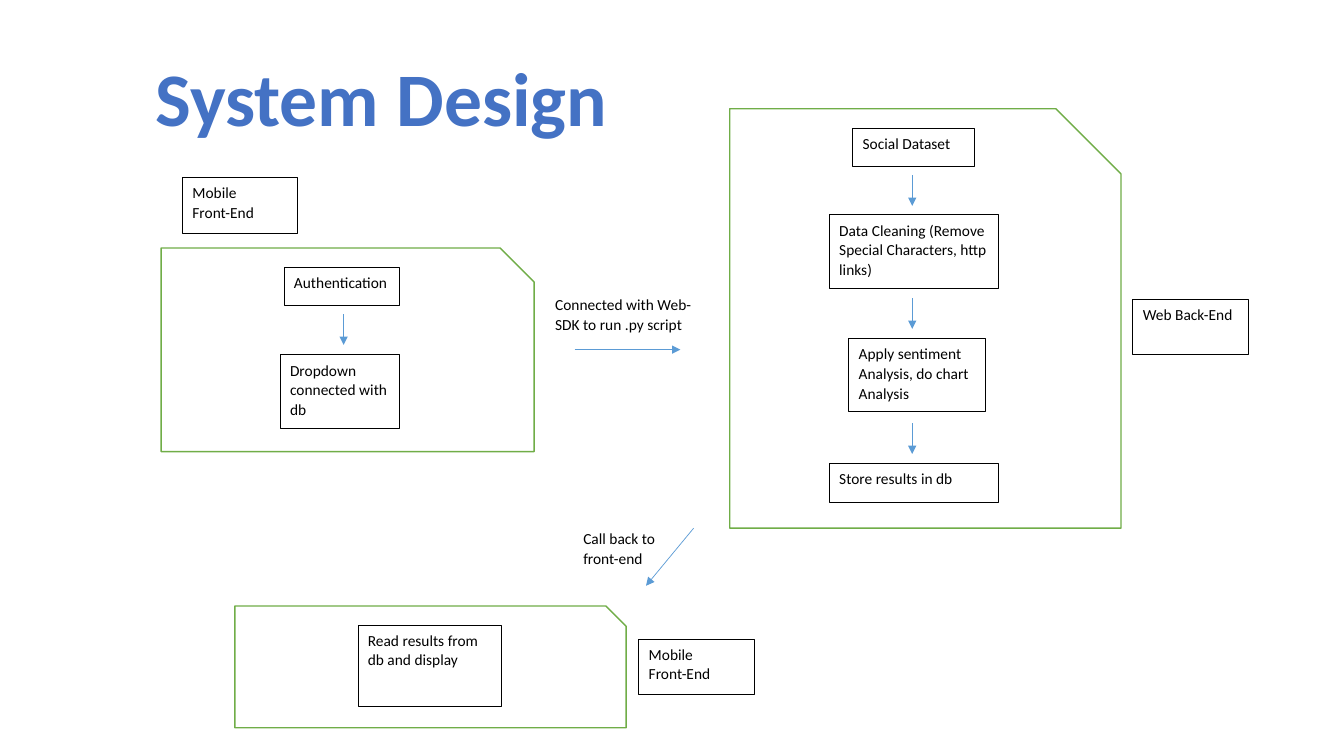
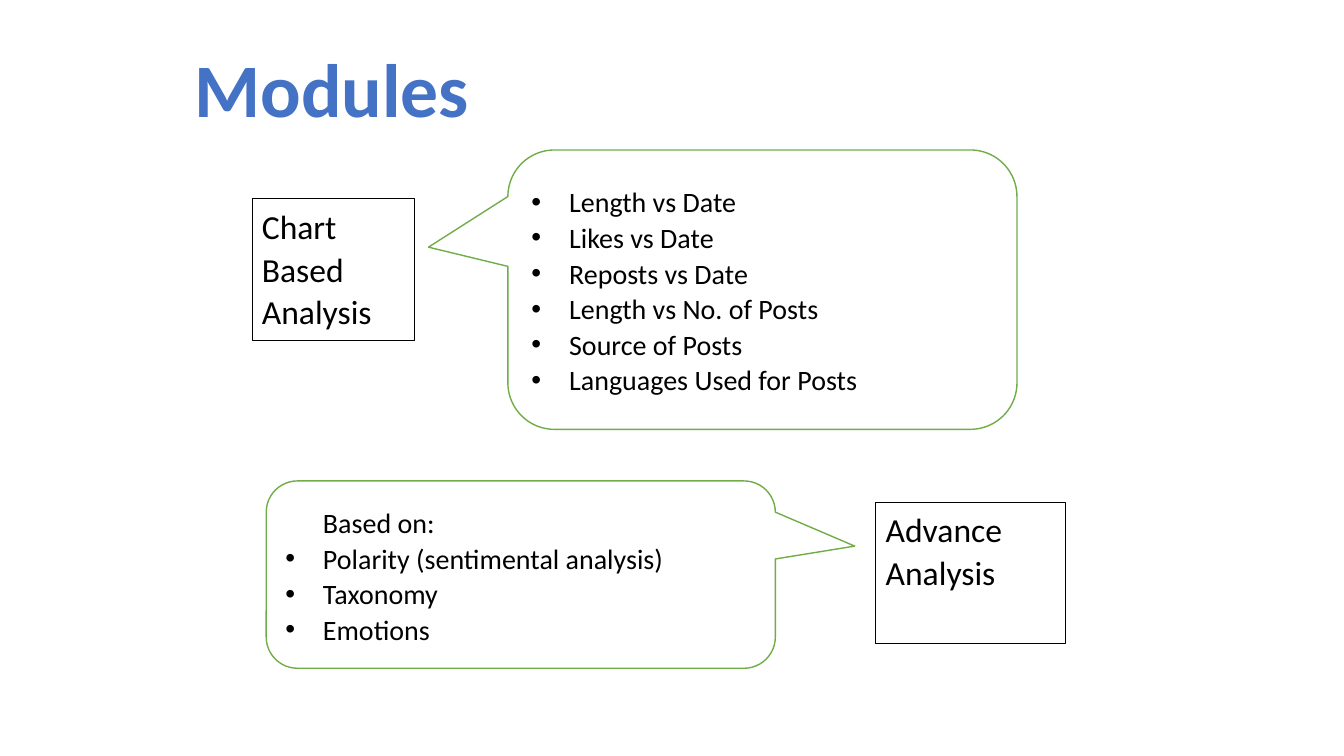
from pptx import Presentation
from pptx.dml.color import RGBColor
from pptx.enum import shapes, text as t
from pptx.oxml import ns, xmlchemy as x
from pptx.util import Cm, Pt

BLACK, WHITE, GREEN = "000000", "FFFFFF", "70AD47"
ARROW_BLUE, TITLE_BLUE = "5B9BD5", "4472C4"
FONT = "Calibri"
INDENT = Cm(0.95)
colour = RGBColor.from_string


def write(box, lines, size=11, color=BLACK, bold=False, align=t.PP_ALIGN.LEFT,
          anchor=t.MSO_ANCHOR.TOP, wrap=True, spacing=1.06, after=0, plain=None):
    """Fill a box; a list gives bullets, except for the line named plain."""
    frame = box.text_frame
    frame.word_wrap = wrap
    frame.vertical_anchor = anchor
    bulleted = isinstance(lines, list)
    for number, line in enumerate(lines if bulleted else [lines]):
        para = frame.add_paragraph() if number else frame.paragraphs[0]
        para.text = line
        para.alignment = align
        para.line_spacing = spacing
        para.space_after = Pt(after)
        if bulleted:
            props = para._p.get_or_add_pPr()
            props.set("marL", str(INDENT))
            if line != plain:
                props.set("indent", str(-INDENT))
                font = x.OxmlElement("a:buFont")
                font.set("typeface", "Arial")
                bullet = x.OxmlElement("a:buChar")
                bullet.set("char", "•")
                props.extend([font, bullet])
        for span in para.runs:
            span.font.name = FONT
            span.font.size = Pt(size)
            span.font.bold = bold
            span.font.color.rgb = colour(color)


def draw(page, kind, place, line=BLACK, width=0.5):
    """Add a white outlined shape at left, top, width, height in cm."""
    shape = page.shapes.add_shape(kind, *map(Cm, place))
    shape.shadow.inherit = False
    shape.fill.solid()
    shape.fill.fore_color.rgb = colour(WHITE)
    shape.line.color.rgb = colour(line)
    shape.line.width = Pt(width)
    return shape


deck = Presentation()
deck.slide_width, deck.slide_height = Cm(33.87), Cm(19.05)
RECT = shapes.MSO_SHAPE.RECTANGLE

# Pages and their titles
pages = []
for title, place in [
    ("System Design", (3.61, 1.17, 12.01, 2.57)),
    ("Modules", (4.62, 0.94, 7.49, 2.57)),
]:
    page = deck.slides.add_slide(deck.slide_layouts[6])
    box = page.shapes.add_textbox(*map(Cm, place))
    write(box, title, size=54, color=TITLE_BLUE, bold=True,
          align=t.PP_ALIGN.CENTER, wrap=False, spacing=1.0)
    pages.append(page)
design, modules = pages

# System design: frames around each stage
for place in [
    (4.06, 6.25, 9.4, 5.13),
    (18.39, 2.74, 9.86, 10.57),
    (5.92, 15.27, 9.86, 3.07),
]:
    draw(design, shapes.MSO_SHAPE.SNIP_1_RECTANGLE, place, GREEN, 1)

# System design: steps, stage names and arrow captions
for label, place, line in [
    ("Mobile \vFront-End", (4.6, 4.47, 2.9, 1.4), BLACK),
    ("Authentication", (7.16, 6.73, 2.9, 0.97), BLACK),
    ("Dropdown connected with db", (7.06, 8.94, 3, 1.85), BLACK),
    ("Connected with Web-SDK to run .py script", (13.74, 7.29, 4.29, 1.4), WHITE),
    ("Web Back-End", (28.55, 7.54, 2.9, 1.4), BLACK),
    ("Social Dataset", (21.49, 3.23, 3.07, 0.97), BLACK),
    ("Data Cleaning (Remove Special Characters, http links)",
     (20.9, 5.41, 4.27, 1.85), BLACK),
    ("Apply sentiment Analysis, do chart Analysis", (21.39, 8.53, 3.45, 1.85), BLACK),
    ("Store results in db", (20.9, 11.68, 4.27, 0.99), BLACK),
    ("Mobile \vFront-End", (16.1, 16.1, 2.9, 1.4), BLACK),
    ("Read results from db and display", (9.02, 15.75, 3.61, 2.06), BLACK),
    ("Call back to front-end", (14.45, 13.18, 2.69, 1.19), WHITE),
]:
    write(draw(design, RECT, place, line), label, after=8)

# System design: arrows, the short ones pointing down between steps
DROP = 0.77
down = [(left, top, left, top + DROP) for left, top in
        [(8.66, 7.92), (22.99, 4.42), (22.99, 7.52), (22.99, 10.67)]]
for ends in down + [(14.48, 8.81, 17.15, 8.81), (17.48, 13.31, 16.28, 14.76)]:
    arrow = design.shapes.add_connector(shapes.MSO_CONNECTOR.STRAIGHT, *map(Cm, ends))
    arrow.line.color.rgb = colour(ARROW_BLUE)
    arrow.line.width = Pt(0.5)
    head = x.OxmlElement("a:tailEnd")
    head.set("type", "triangle")
    arrow._element.spPr.find(ns.qn("a:ln")).append(head)
    arrow._element.spPr.append(x.OxmlElement("a:effectLst"))

# Modules: a name box and a callout pointing at it
for name, name_place, items, place, tail in [
    ("Chart Based Analysis", (6.35, 5, 4.09, 3.58),
     ["Length vs Date", "Likes vs Date", "Reposts vs Date",
      "Length vs No. of Posts", "Source of Posts", "Languages Used for Posts"],
     (12.8, 3.78, 12.83, 7.04), -0.656),
    ("Advance Analysis", (22.07, 12.65, 4.78, 3.56),
     ["Based on:", "Polarity (sentimental analysis)", "Taxonomy", "Emotions"],
     (6.71, 12.12, 12.83, 4.72), 0.656),
]:
    callout = draw(modules, shapes.MSO_SHAPE.ROUNDED_RECTANGULAR_CALLOUT, place, GREEN, 1)
    callout.adjustments[0] = tail
    callout.adjustments[1] = -0.152
    write(callout, items, size=20, anchor=t.MSO_ANCHOR.MIDDLE, plain="Based on:")
    write(draw(modules, RECT, name_place), name, size=24, after=8)

deck.save("out.pptx")
